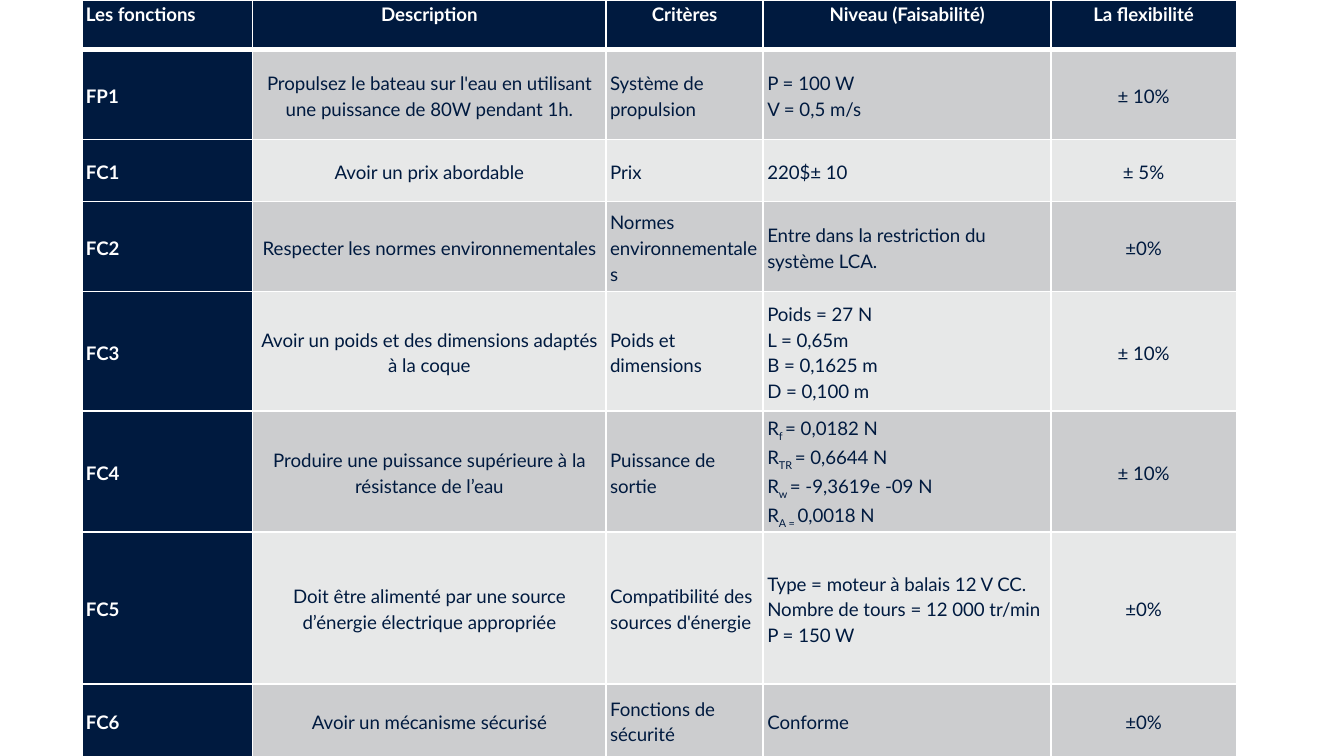
from lxml import etree
from pptx import Presentation
from pptx.dml.color import RGBColor
from pptx.enum.text import MSO_ANCHOR, PP_ALIGN
from pptx.oxml.ns import qn
from pptx.util import Inches, Pt

LEFT, CENTER, JUSTIFY = PP_ALIGN.LEFT, PP_ALIGN.CENTER, PP_ALIGN.JUSTIFY
TOP, MIDDLE = MSO_ANCHOR.TOP, MSO_ANCHOR.MIDDLE
BLANK_LAYOUT = 6

THEME = {
    "font": "Lato",
    "size": 10,
    "line_spacing": 1.15,
    "navy": "001A3F",
    "white": "FFFFFF",
    "bands": ("CCCDCF", "E7E8E8"),
    "rule": 1,
    "header_rule": 3,
}

HEADERS = ["Les fonctions", "Description", "Critères", "Niveau (Faisabilité)", "La flexibilité"]

# Each level is a list of lines; in a line given as a tuple, every second part is a subscript.
FUNCTIONS = [
    ("FP1", "Propulsez le bateau sur l'eau en utilisant une puissance de 80W pendant 1h.",
     "Système de propulsion", ["P = 100 W", "V = 0,5 m/s"], "± 10%"),
    ("FC1", "Avoir un prix abordable", "Prix", ["220$± 10"], "± 5%"),
    ("FC2", "Respecter les normes environnementales", "Normes environnementales",
     ["Entre dans la restriction du système LCA."], "±0%"),
    ("FC3", "Avoir un poids et des dimensions adaptés à la coque", "Poids et dimensions",
     ["Poids = 27 N", "L = 0,65m", "B = 0,1625 m", "D = 0,100 m"], "± 10%"),
    ("FC4", "Produire une puissance supérieure à la résistance de l’eau", "Puissance de sortie",
     [("R", "f ", "= 0,0182 N"), ("R", "TR ", "= 0,6644 N"),
      ("R", "w ", "= -9,3619e -09 N"), ("R", "A = ", "0,0018 N")], "± 10%"),
    ("FC5", "Doit être alimenté par une source d’énergie électrique appropriée",
     "Compatibilité des sources d'énergie",
     ["Type = moteur à balais 12 V CC.", "Nombre de tours = 12 000 tr/min", "P = 150 W"], "±0%"),
    ("FC6", "Avoir un mécanisme sécurisé", "Fonctions de sécurité", ["Conforme"], "±0%"),
]

COLUMN_WIDTHS = [1.27, 2.63, 1.17, 2.14, 1.38]
ROW_HEIGHTS = [0.37, 0.67, 0.46, 0.67, 0.89, 0.9, 1.13, 0.54]
COLUMN_ALIGNS = [LEFT, CENTER, LEFT, LEFT, CENTER]


def write_text(frame, content, *, color, bold=False, align=LEFT):
    lines = content if isinstance(content, list) else [content]
    for index, line in enumerate(lines):
        paragraph = frame.paragraphs[0] if index == 0 else frame.add_paragraph()
        paragraph.alignment = align
        paragraph.line_spacing = THEME["line_spacing"]
        parts = line if isinstance(line, tuple) else (line,)
        for position, part in enumerate(parts):
            run = paragraph.add_run()
            run.text = part
            run.font.name = THEME["font"]
            run.font.size = Pt(THEME["size"])
            run.font.bold = bold
            run.font.color.rgb = RGBColor.from_string(color)
            if position % 2:
                run._r.get_or_add_rPr().set("baseline", "-25000")


def add_borders(cell, top, bottom):
    properties = cell._tc.get_or_add_tcPr()
    widths = {"lnL": THEME["rule"], "lnR": THEME["rule"], "lnT": top, "lnB": bottom}
    for edge, width in widths.items():
        line = etree.SubElement(properties, qn(f"a:{edge}"), w=str(Pt(width)))
        fill = etree.SubElement(line, qn("a:solidFill"))
        etree.SubElement(fill, qn("a:srgbClr"), val=THEME["white"])


def format_cell(cell, content, row, column):
    is_header = row == 0
    is_dark = is_header or column == 0
    add_borders(cell,
                top=THEME["header_rule"] if row == 1 else THEME["rule"],
                bottom=THEME["header_rule"] if is_header else THEME["rule"])
    cell.fill.solid()
    fill = THEME["navy"] if is_dark else THEME["bands"][(row - 1) % 2]
    cell.fill.fore_color.rgb = RGBColor.from_string(fill)
    cell.margin_left = cell.margin_right = Inches(0.03)
    cell.margin_top = cell.margin_bottom = 0
    cell.vertical_anchor = TOP if is_header else MIDDLE
    if is_header:
        align = JUSTIFY if column == 0 else CENTER
    else:
        align = COLUMN_ALIGNS[column]
    write_text(cell.text_frame, content, bold=is_dark, align=align,
               color=THEME["white"] if is_dark else THEME["navy"])


def main():
    presentation = Presentation()
    presentation.slide_width = Inches(10)
    presentation.slide_height = presentation.slide_width * 9 // 16
    slide = presentation.slides.add_slide(presentation.slide_layouts[BLANK_LAYOUT])

    table = slide.shapes.add_table(
        len(ROW_HEIGHTS), len(COLUMN_WIDTHS), Inches(0.61), 0,
        Inches(sum(COLUMN_WIDTHS)), Inches(sum(ROW_HEIGHTS))).table
    table.horz_banding = False
    for column, width in zip(table.columns, COLUMN_WIDTHS):
        column.width = Inches(width)
    for row, height in zip(table.rows, ROW_HEIGHTS):
        row.height = Inches(height)

    for row, contents in enumerate([HEADERS, *FUNCTIONS]):
        for column, content in enumerate(contents):
            format_cell(table.cell(row, column), content, row, column)

    presentation.save("out.pptx")


if __name__ == "__main__":
    main()
